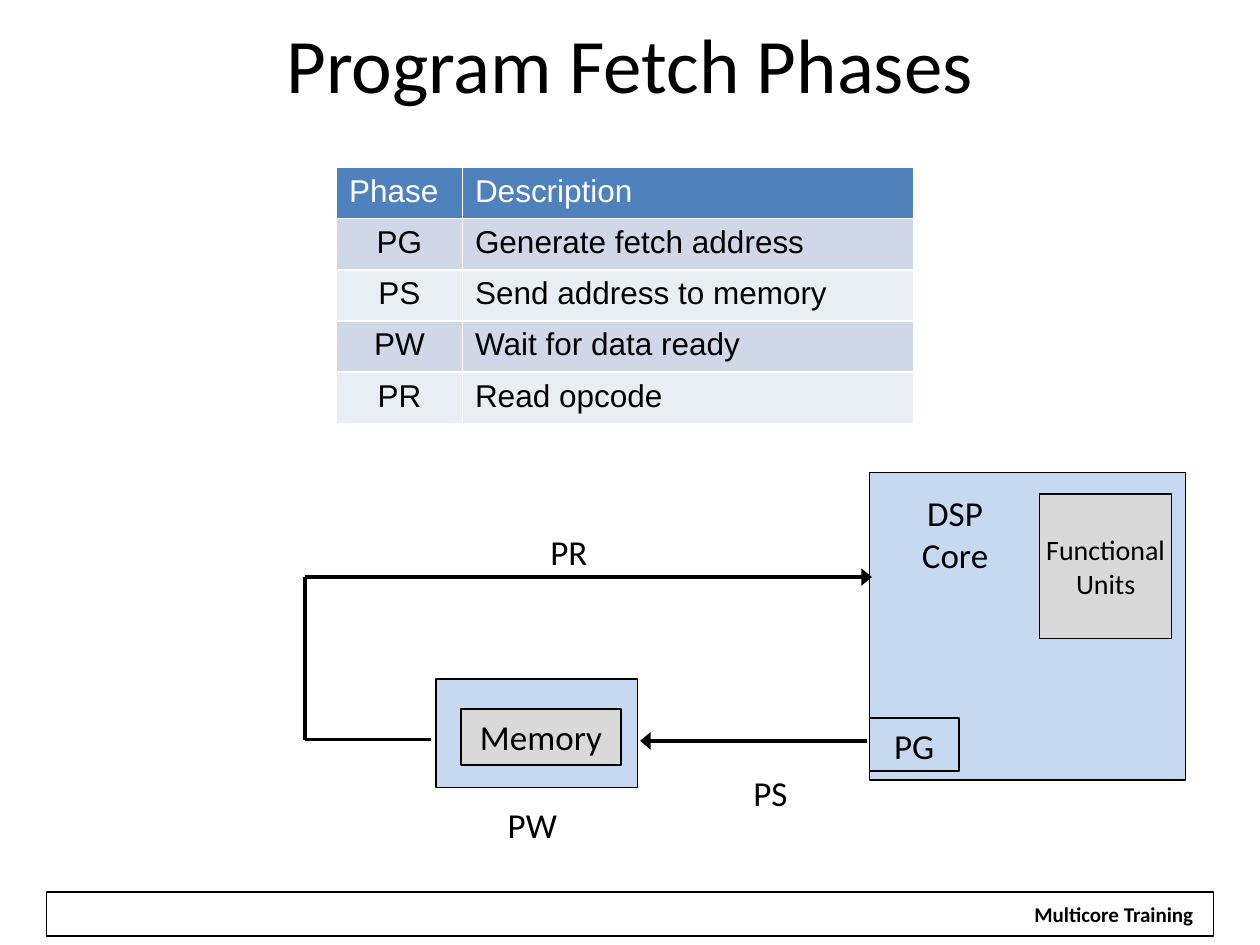
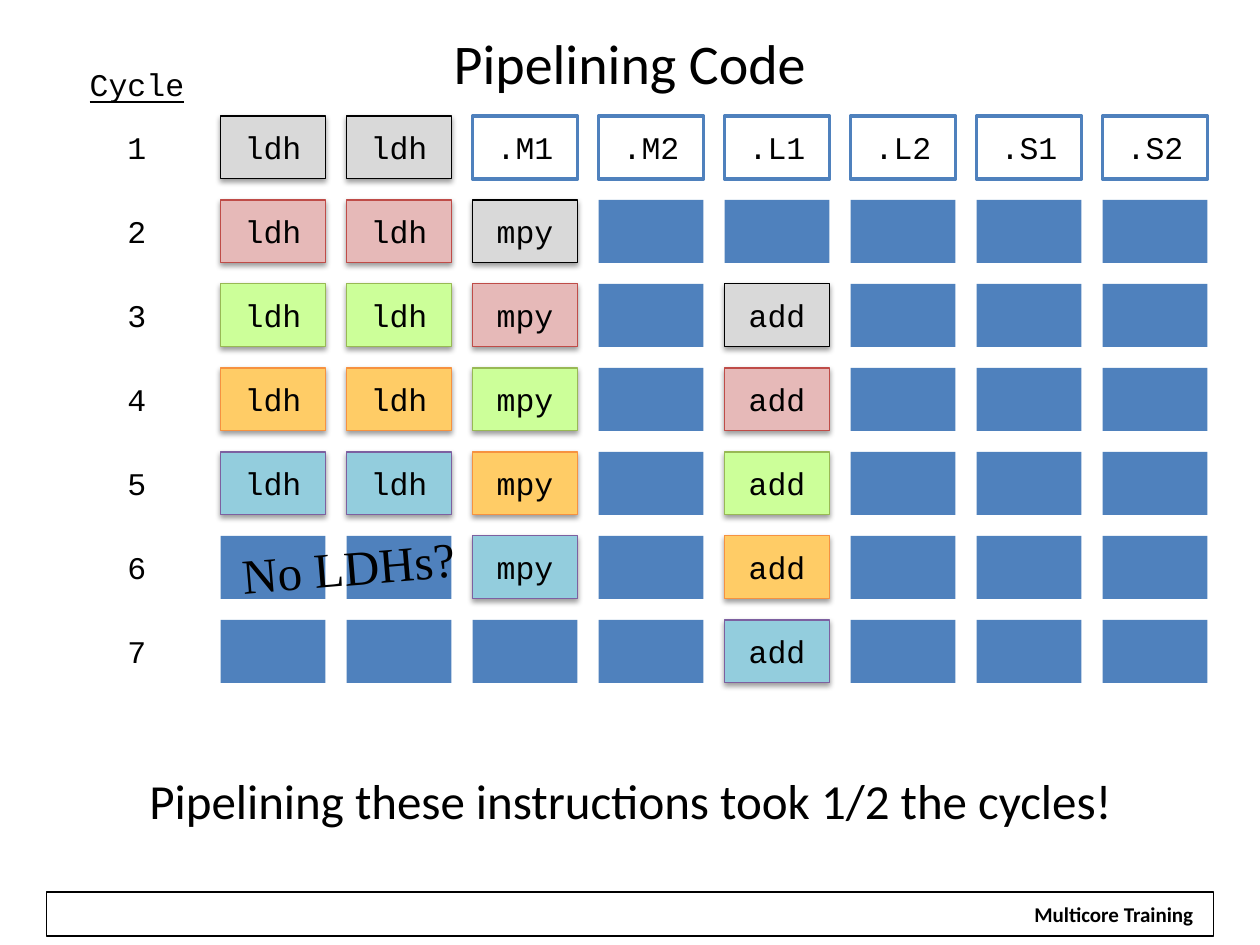
import pptx
import pptx.dml.color
import pptx.enum.shapes
import pptx.enum.text
import pptx.oxml
import pptx.oxml.ns
import pptx.util
from dataclasses import dataclass

Inches, Pt = pptx.util.Inches, pptx.util.Pt
ALIGN, ANCHOR = pptx.enum.text.PP_ALIGN, pptx.enum.text.MSO_ANCHOR


@dataclass(frozen=True)
class Theme:
    black: str = "000000"
    white: str = "FFFFFF"
    blue: str = "4F81BD"
    pale_blue: str = "C6D9F1"
    gray: str = "D9D9D9"
    bands: tuple = ("D0D8E8", "E9EDF4")
    font: str = "Calibri"
    table_font: str = "Arial"
    code_font: str = "Courier New"
    note_font: str = "Times New Roman"
    footer_size: int = 12
    units_size: int = 16
    code_size: int = 18
    label_size: int = 20
    statement_size: int = 28
    subtitle_size: int = 32
    title_size: int = 44


THEME = Theme()
WIDTH, HEIGHT = 10, 7.5
FOOTER = "Multicore Training"

PHASES = [
    ("Phase", "Description"),
    ("PG", "Generate fetch address"),
    ("PS", "Send address to memory"),
    ("PW", "Wait for data ready"),
    ("PR", "Read opcode"),
]
PHASE_TABLE = (2.67, 1.33, 4.58, 2.03)
PHASE_COLUMNS = (1, 3.58)

# text, bounds, fill, line width
FETCH_BLOCKS = [
    ("", (6.9, 3.75, 2.51, 2.44), THEME.pale_blue, 1),
    ("DSP\nCore", (7.01, 3.85, 1.14, 0.81), THEME.pale_blue, None),
    ("", (3.46, 5.39, 1.6, 0.86), THEME.pale_blue, 1),
    ("Memory", (3.66, 5.63, 1.27, 0.44), THEME.gray, 1),
    ("PG", (6.9, 5.7, 0.71, 0.42), None, 1),
    ("PW", (3.9, 6.33, 0.65, 0.42), None, None),
    ("PS", (5.79, 6.07, 0.65, 0.42), None, None),
    ("PR", (4.19, 4.16, 0.65, 0.42), None, None),
]
FUNCTIONAL_UNITS = ("Functional\nUnits", (8.25, 3.92, 1.05, 1.15))

# start, end, arrowhead at the end
FETCH_LINES = [
    ((6.88, 5.88), (5.08, 5.88), True),
    ((3.42, 5.87), (2.42, 5.87), False),
    ((2.42, 5.87), (2.42, 4.58), False),
    ((2.42, 4.58), (6.92, 4.58), True),
]

UNITS = [".D1", ".D2", ".M1", ".M2", ".L1", ".L2", ".S1", ".S2"]
# instruction, unit, cycles after the iteration starts
INSTRUCTIONS = [("ldh", ".D1", 0), ("ldh", ".D2", 0), ("mpy", ".M1", 1), ("add", ".L1", 2)]
# fill, line of each loop iteration
ITERATIONS = [
    (THEME.gray, THEME.black),
    ("E6B9B8", "BF4C48"),
    ("CCFF99", "98B955"),
    ("FFCC66", "F69240"),
    ("93CDDD", "7D60A0"),
]
CYCLES = 7
CELL_WIDTH, CELL_HEIGHT = WIDTH / 12, HEIGHT / 15
UNIT_LEFT, UNIT_STEP = 1.75, WIDTH / 10
CYCLE_LEFT, CYCLE_TOP, CYCLE_STEP = 0.67, 0.92, CELL_HEIGHT * 4 / 3
HEADING_OVERHANG = 0.2


def color(value):
    return pptx.dml.color.RGBColor.from_string(value)


def style_text(frame, font, size, ink=THEME.black, align=ALIGN.CENTER, bold=False, underline=False):
    for paragraph in frame.paragraphs:
        paragraph.alignment = align
        paragraph.font.name = font
        paragraph.font.size = Pt(size)
        paragraph.font.bold = bold
        paragraph.font.underline = underline
        paragraph.font.color.rgb = color(ink)


def add_box(slide, bounds, text="", fill=None, line=None, line_width=0.75, font=THEME.font,
            size=THEME.label_size, anchor=ANCHOR.TOP, wrap=True, **text_style):
    """Add a rectangle, or a text box when there is neither fill nor line."""
    place = [Inches(length) for length in bounds]
    if fill or line:
        shape = slide.shapes.add_shape(pptx.enum.shapes.MSO_SHAPE.RECTANGLE, *place)
        shape.shadow.inherit = False
        if fill:
            shape.fill.solid()
            shape.fill.fore_color.rgb = color(fill)
        else:
            shape.fill.background()
        if line:
            shape.line.color.rgb = color(line)
            shape.line.width = Pt(line_width)
        else:
            shape.line.fill.background()
    else:
        shape = slide.shapes.add_textbox(*place)
    if text:
        frame = shape.text_frame
        frame.text = text
        frame.word_wrap = wrap
        frame.vertical_anchor = anchor
        style_text(frame, font, size, **text_style)
    return shape


def add_line(slide, start, end, arrow):
    connector = slide.shapes.add_connector(
        pptx.enum.shapes.MSO_CONNECTOR.STRAIGHT, *(Inches(length) for length in start + end))
    connector.line.color.rgb = color(THEME.black)
    connector.line.width = Pt(2)
    if arrow:
        head = pptx.oxml.parse_xml(
            f'<a:tailEnd {pptx.oxml.ns.nsdecls("a")} type="triangle" w="lg"/>')
        connector.line._get_or_add_ln().append(head)
    connector._element.spPr.append(
        pptx.oxml.parse_xml(f'<a:effectLst {pptx.oxml.ns.nsdecls("a")}/>'))


def add_shadow(shape):
    effects = shape._element.spPr.find(pptx.oxml.ns.qn("a:effectLst"))
    effects.append(pptx.oxml.parse_xml(
        f'<a:outerShdw {pptx.oxml.ns.nsdecls("a")} blurRad="40000" dist="20000" dir="5400000" '
        f'rotWithShape="0"><a:srgbClr val="{THEME.black}"><a:alpha val="38000"/></a:srgbClr>'
        '</a:outerShdw>'))


def add_slide(presentation, title, title_size):
    """Add a slide with the shared title and footer band."""
    slide = presentation.slides.add_slide(presentation.slide_layouts[5])
    placeholder = slide.shapes.title
    placeholder.left, placeholder.top = Inches(0.5), Inches(0.08)
    placeholder.width, placeholder.height = Inches(9), Inches(0.83)
    placeholder.text_frame.text = title
    placeholder.text_frame.vertical_anchor = ANCHOR.MIDDLE
    style_text(placeholder.text_frame, THEME.font, title_size)
    add_box(slide, (0.37, 7.08, 9.26, 0.35), line=THEME.black)
    add_box(slide, (8.1, 7.11, 1.48, 0.3), FOOTER, fill=THEME.white,
            size=THEME.footer_size, wrap=False, bold=True)
    return slide


def add_phase_table(slide):
    table = slide.shapes.add_table(
        len(PHASES), len(PHASE_COLUMNS), *(Inches(length) for length in PHASE_TABLE)).table
    for column, width in zip(table.columns, PHASE_COLUMNS):
        column.width = Inches(width)
    for row, phase in enumerate(PHASES):
        for column, text in enumerate(phase):
            cell = table.cell(row, column)
            cell.text = text
            cell.fill.solid()
            cell.fill.fore_color.rgb = color(THEME.bands[(row - 1) % 2] if row else THEME.blue)
            style_text(cell.text_frame, THEME.table_font, THEME.code_size,
                       ink=THEME.black if row else THEME.white,
                       align=ALIGN.CENTER if row and column == 0 else ALIGN.LEFT)


def build_fetch_slide(presentation):
    slide = add_slide(presentation, "Program Fetch Phases", THEME.title_size)
    add_phase_table(slide)
    for text, bounds, fill, line_width in FETCH_BLOCKS:
        add_box(slide, bounds, text, fill, THEME.black if line_width else None, line_width)
    text, bounds = FUNCTIONAL_UNITS
    add_box(slide, bounds, text, THEME.gray, THEME.black, size=THEME.units_size,
            anchor=ANCHOR.MIDDLE, wrap=False)
    for start, end, arrow in FETCH_LINES:
        add_line(slide, start, end, arrow)


def add_code_cell(slide, left, cycle, text="", width=CELL_WIDTH, **style):
    """Add a cell of the schedule; cycle 0 is the heading row."""
    step = CYCLE_STEP if cycle else CELL_HEIGHT
    top = CYCLE_TOP + (cycle - 1) * step
    return add_box(slide, (left, top, width, CELL_HEIGHT), text, font=THEME.code_font,
                   size=THEME.code_size, anchor=ANCHOR.MIDDLE, wrap=False, **style)


def build_pipeline_slide(presentation):
    slide = add_slide(presentation, "Pipelining Code", THEME.subtitle_size)
    schedule = {
        (start + delay, unit): (instruction, colors)
        for start, colors in enumerate(ITERATIONS, 1)
        for instruction, unit, delay in INSTRUCTIONS
    }
    add_code_cell(slide, CYCLE_LEFT - HEADING_OVERHANG, 0, "Cycle",
                  width=CELL_WIDTH + 2 * HEADING_OVERHANG, underline=True)
    for cycle in range(1, CYCLES + 1):
        add_code_cell(slide, CYCLE_LEFT, cycle, str(cycle))
        for column, unit in enumerate(UNITS):
            left = UNIT_LEFT + column * UNIT_STEP
            if (cycle, unit) in schedule:
                instruction, (fill, line) = schedule[cycle, unit]
                add_shadow(add_code_cell(slide, left, cycle, instruction, fill=fill, line=line))
            elif cycle == 1:
                add_code_cell(slide, left, cycle, unit, fill=THEME.white,
                              line=THEME.blue, line_width=2)
            else:
                add_code_cell(slide, left, cycle, fill=THEME.blue)
    note = add_box(slide, (1.82, 4.21, 1.91, 0.57), "No LDHs?", font=THEME.note_font,
                   size=THEME.statement_size, wrap=False, align=ALIGN.LEFT)
    note.rotation = -4.8
    add_box(slide, (0.39, 6.07, 9.23, 0.47), "Pipelining these instructions took 1/2 the cycles!",
            size=THEME.statement_size, wrap=False)


def main():
    presentation = pptx.Presentation()
    presentation.slide_width, presentation.slide_height = Inches(WIDTH), Inches(HEIGHT)
    build_fetch_slide(presentation)
    build_pipeline_slide(presentation)
    presentation.save("out.pptx")


if __name__ == "__main__":
    main()
